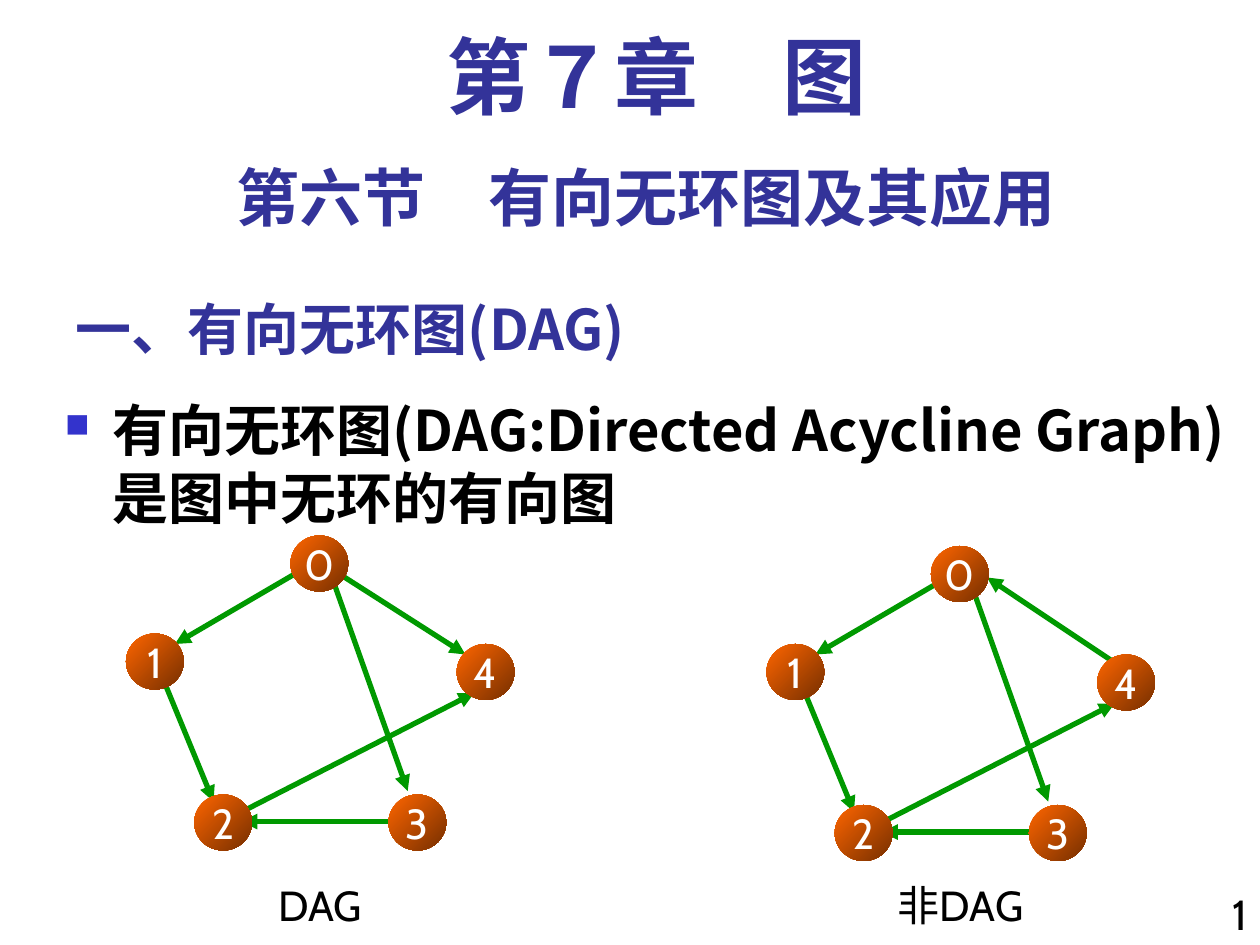
from lxml.etree import SubElement as Sub
from pptx import Presentation
from pptx.dml.color import RGBColor
from pptx.enum.shapes import MSO_CONNECTOR as Conn, MSO_SHAPE as Shape
from pptx.enum.text import MSO_ANCHOR as Anchor, PP_ALIGN as Align
from pptx.oxml.ns import qn
from pptx.util import Pt

BLUE, BLACK, WHITE, GREEN = "333399", "000000", "FFFFFF", "009900"
SANS, CJK, SERIF = "Cabin", "Noto Sans CJK SC", "Times New Roman"


def color(code):
    """Turn a hex string into a colour."""
    return RGBColor.from_string(code)


def write(frame, text, size, face, ink, align, bold=False):
    """Fill a text frame with one styled paragraph and return it."""
    para = frame.paragraphs[0]
    para.text = text
    para.alignment = align
    font = para.font
    font.size, font.name, font.bold = Pt(size), face, bold
    font.color.rgb = color(ink)
    for props in para._p.iter(qn("a:defRPr")):
        Sub(props, qn("a:ea"), typeface=CJK)
    return para


deck = Presentation()
deck.slide_width, deck.slide_height = Pt(720), Pt(540)
slide = deck.slides.add_slide(deck.slide_layouts[6])
shapes = slide.shapes

# Texts: left, top, width, height, text, size, line pitch, font, colour, align, bold
texts = [
    (48, 12, 654, 60, "第７章　图", 48, 56, SERIF, BLUE, Align.CENTER, True),
    (36, 84, 666, 50, "第六节　有向无环图及其应用", 36, 46, SANS, BLUE, Align.CENTER, True),
    (36, 156, 684, 54, "一、有向无环图(DAG)", 32, 39, CJK, BLUE, Align.LEFT, True),
    (30, 222, 690, 318, "有向无环图(DAG:Directed Acycline Graph)是图中无环的有向图",
     32, 39, CJK, BLACK, Align.LEFT, True),
    (114, 498, 138, 36, "DAG", 24, 30, SANS, BLACK, Align.CENTER, False),
    (474, 498, 150, 36, "非DAG", 24, 30, SANS, BLACK, Align.CENTER, False),
    (672, 503, 48, 36, "1", 24, 30, SANS, BLACK, Align.RIGHT, False),
]
for left, top, wide, high, text, size, pitch, face, ink, align, bold in texts:
    frame = shapes.add_textbox(Pt(left), Pt(top), Pt(wide), Pt(high)).text_frame
    frame.word_wrap = True
    para = write(frame, text, size, face, ink, align, bold)
    para.line_spacing = Pt(pitch)
    if text.startswith("一"):
        frame.vertical_anchor = Anchor.BOTTOM
    if "Directed" in text:
        props = para._p.get_or_add_pPr()
        props.set("marL", str(Pt(27)))
        props.set("indent", str(-Pt(27)))
        marks = [Sub(props, qn("a:buClr")), Sub(props, qn("a:buSzPct"), val="60000"),
                 Sub(props, qn("a:buChar"), char="■")]
        Sub(marks[0], qn("a:srgbClr"), val="3333CC")
        base = props.find(qn("a:defRPr"))
        for mark in marks:
            base.addprevious(mark)

# Graphs: node corners and arrows (start to tip), shifted for each graph
nodes = [(166, 306), (72, 362), (111, 454), (222, 454), (261, 368)]
shared = [
    (94, 390, 122, 458),
    (177, 323, 100, 368),
    (189, 328, 233, 452),
    (222, 469.5, 138, 469.5),
    (138, 464, 271, 396),
]
graphs = [(0, 0, (194, 328, 266, 374)), (366, 6, (270, 372, 198, 324))]
for dx, dy, own in graphs:
    for x1, y1, x2, y2 in [own] + shared:
        edge = shapes.add_connector(Conn.STRAIGHT, Pt(x1 + dx), Pt(y1 + dy),
                                    Pt(x2 + dx), Pt(y2 + dy))
        edge.line.color.rgb = color(GREEN)
        edge.line.width = Pt(3)
        Sub(edge.line._get_or_add_ln(), qn("a:tailEnd"), type="triangle")
        Sub(edge._element.spPr, qn("a:effectLst"))
    for num, (x, y) in enumerate(nodes):
        node = shapes.add_shape(Shape.OVAL, Pt(x + dx), Pt(y + dy), Pt(33), Pt(32))
        node.shadow.inherit = False
        node.line.fill.background()
        node.fill.gradient()
        node.fill.gradient_angle = 315
        for stop, code, pos in zip(node.fill.gradient_stops, ("FF6600", "762F00"), (0, 1)):
            stop.color.rgb = color(code)
            stop.position = pos
        frame = node.text_frame
        frame.word_wrap = False
        frame.margin_left = frame.margin_right = 0
        frame.vertical_anchor = Anchor.MIDDLE
        write(frame, str(num), 24, SANS, WHITE, Align.CENTER)

deck.save("out.pptx")
